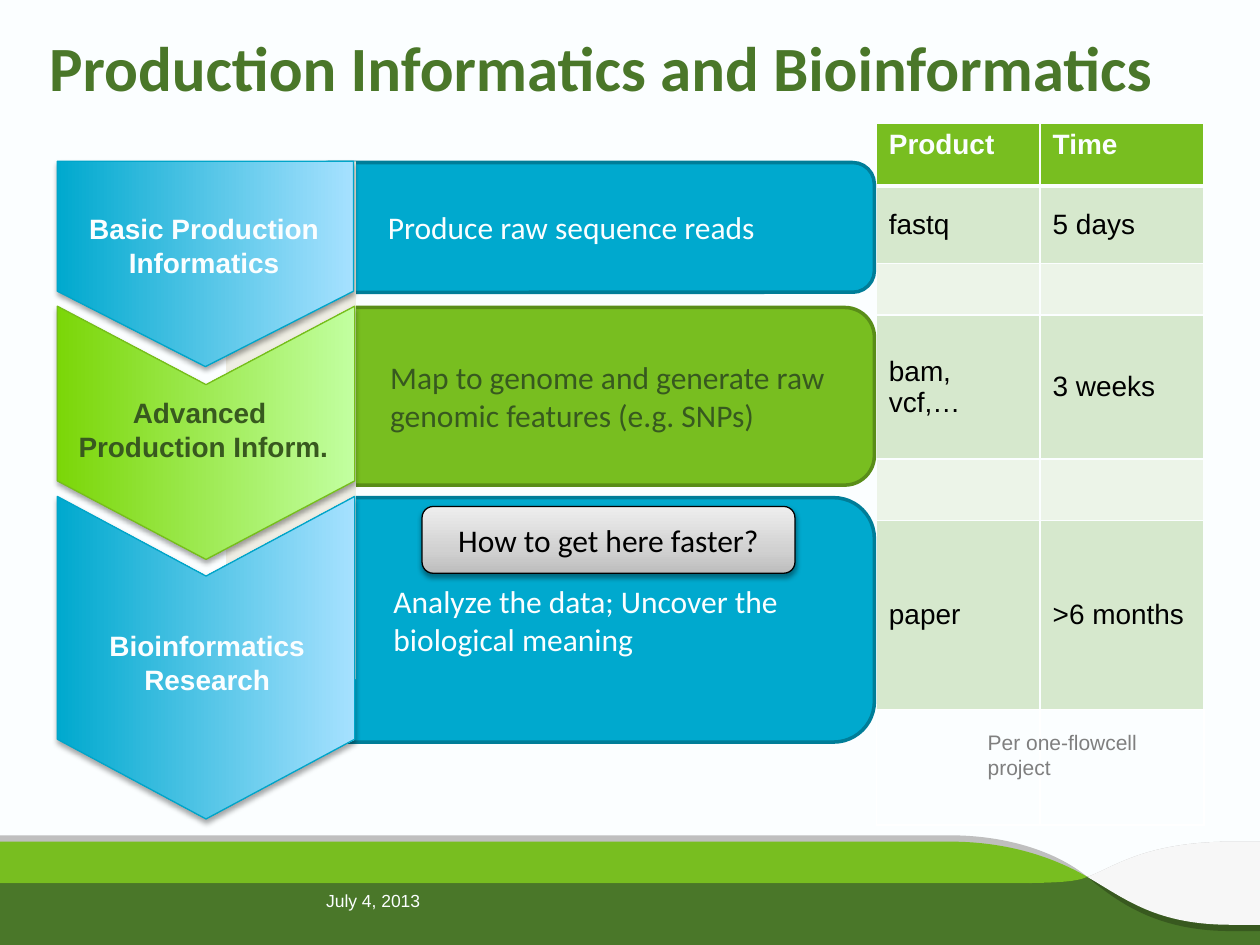
import dataclasses

import lxml.etree
import pptx
import pptx.dml.color
import pptx.enum.shapes
import pptx.enum.text
import pptx.oxml.ns
import pptx.util

COLUMNS, ROWS = 100, 75
UNIT = pptx.util.Inches(10) // COLUMNS
SHAPES = pptx.enum.shapes.MSO_SHAPE
ALIGN = pptx.enum.text.PP_ALIGN
ANCHOR = pptx.enum.text.MSO_ANCHOR

COLORS = {
    "paper": "FBFEFF", "dark_green": "4A7729", "deep_green": "38591F",
    "green": "78BE20", "green_edge": "598D18", "green_text": "37591F",
    "lime": "7BD608", "pale_lime": "C2FFA0", "lime_edge": "76BE1B",
    "blue": "00A9CE", "blue_edge": "007D98", "pale_blue": "A6E1FF",
    "arrow_edge": "00A5C9", "silver": "BFBFBF", "white_wave": "F7F7F7",
    "band": "D6E8CD", "pale_band": "ECF4E8", "backing": "EEEDE3",
    "gray_text": "7F7F7F", "black": "000000",
    "button_low": "BDBDBD", "button_mid": "D1D1D1", "button_high": "EEEEEE",
}


@dataclasses.dataclass
class Box:
    left: float
    top: float
    width: float
    height: float

    def inner(self, left, top, width, height):
        return Box(self.left + left, self.top + top, width, height)

    def turned(self):
        shift = (self.width - self.height) / 2
        return Box(self.left + shift, self.top - shift, self.height, self.width)

    def lengths(self):
        return [round(value * UNIT) for value in dataclasses.astuple(self)]


def color(name):
    return pptx.dml.color.RGBColor.from_string(COLORS[name])


def add_element(parent, tag, **attributes):
    return lxml.etree.SubElement(parent, pptx.oxml.ns.qn(tag), attributes)


def style(paragraph, size, name, ink, bold=False, align=ALIGN.LEFT):
    paragraph.alignment = align
    font = paragraph.font
    font.size, font.name, font.bold = pptx.util.Pt(size), name, bold
    font.color.rgb = color(ink)


def add_shape(slide, box, kind, fill=None, edge=None, edge_width=0.75):
    shape = slide.shapes.add_shape(kind, *box.lengths())
    shape.shadow.inherit = False
    if fill:
        shape.fill.solid()
        shape.fill.fore_color.rgb = color(fill)
    if edge:
        shape.line.color.rgb = color(edge)
        shape.line.width = pptx.util.Pt(edge_width)
    else:
        shape.line.fill.background()
    return shape


def add_gradient(shape, stops):
    shape.fill.gradient()
    shape.fill.gradient_angle = 90
    stop_list = next(shape._element.spPr.iter(pptx.oxml.ns.qn("a:gsLst")))
    for stop in list(stop_list):
        stop_list.remove(stop)
    for position, name in stops:
        stop = add_element(stop_list, "a:gs", pos=str(position * 1000))
        add_element(stop, "a:srgbClr", val=COLORS[name])


def add_shadow(shape, opacity, distance):
    effects = shape._element.spPr.find(pptx.oxml.ns.qn("a:effectLst"))
    shadow = add_element(effects, "a:outerShdw", blurRad=str(pptx.util.Pt(3.1)),
                         dist=str(pptx.util.Pt(distance)), dir="5400000", rotWithShape="0")
    ink = add_element(shadow, "a:srgbClr", val=COLORS["black"])
    add_element(ink, "a:alpha", val=str(opacity * 1000))


def add_text(slide, box, lines, size, name, ink, bold=False, align=ALIGN.LEFT, wrap=True):
    frame = slide.shapes.add_textbox(*box.lengths()).text_frame
    frame.word_wrap = wrap
    frame.text = "\n".join(lines)
    for paragraph in frame.paragraphs:
        style(paragraph, size, name, ink, bold, align)
    return frame


def bend_curves(shape, contours):
    segments = list(shape._element.spPr.iter(pptx.oxml.ns.qn("a:lnTo")))
    entries = [entry for contour in contours for entry in contour[1:]]
    for entry in entries:
        first, *others = segments[:len(entry) // 2]
        segments = segments[len(entry) // 2:]
        if others:
            first.tag = pptx.oxml.ns.qn("a:cubicBezTo")
            for segment in others:
                first.append(segment[0])
                segment.getparent().remove(segment)


def draw_wave(slide, box, contours, fill):
    outlines = [[((box.left + x) * UNIT, (box.top + y) * UNIT)
                 for entry in contour for x, y in zip(entry[::2], entry[1::2])]
                for contour in contours]
    builder = slide.shapes.build_freeform(*outlines[0][0])
    for index, outline in enumerate(outlines):
        if index:
            builder.move_to(*outline[0])
        builder.add_line_segments(outline[1:], close=False)
    shape = builder.convert_to_shape()
    bend_curves(shape, contours)
    shape.shadow.inherit = False
    shape.fill.solid()
    shape.fill.fore_color.rgb = color(fill)
    shape.line.fill.background()


def draw_footer(slide, box):
    crossing = (86.3, 3.3)
    green_tail = [(0, 3.8), (79.5, 3.8), (84, 3.8, 85.4, 3.7, *crossing)]
    right_rise = [(97.8, 0.5), (90.8, 0.5, 88.3, 2.6, *crossing)]
    add_shape(slide, box.inner(0, 3.3, box.width, box.height - 3.3), SHAPES.RECTANGLE, "dark_green")
    waves = [
        ("silver", [right_rise + [(100, 3.3), (100, 7.6), (100, 0.5)],
                    [(75.4, 0), (0, 0), (0, 3.3), crossing, (84, 1.4, 80.1, 0, 75.4, 0)]]),
        ("deep_green", [[crossing, (0, 3.3)] + green_tail,
                        [(100, 3.3), crossing, (88.7, 5.3, 91.8, 7.6, 97.7, 7.6), (100, 7.6), (100, 3.3)]]),
        ("green", [[crossing, (83.7, 1.8, 80.1, 0.5, 75.4, 0.5), (0, 0.5)] + green_tail]),
        ("white_wave", [right_rise + [(89.4, 5.1, 91.8, 7.1, 97.7, 7.1), (100, 7.1), (100, 0.5), (97.8, 0.5)]]),
    ]
    for fill, contours in waves:
        draw_wave(slide, box, contours, fill)
    date = add_text(slide, box.inner(24.9, 3.2, 18.9, 4), ["July 4, 2013"], 10, "Arial", "paper")
    date.vertical_anchor = ANCHOR.MIDDLE


def add_borders(cell, widths):
    properties = cell._tc.get_or_add_tcPr()
    for index, (side, width) in enumerate(zip(("a:lnL", "a:lnR", "a:lnT", "a:lnB"), widths)):
        line = lxml.etree.Element(pptx.oxml.ns.qn(side), w=str(pptx.util.Pt(width)))
        add_element(add_element(line, "a:solidFill"), "a:srgbClr", val=COLORS["paper"])
        properties.insert(index, line)


def draw_products(slide, box):
    rows = [(4.95, "Product", "Time"), (6.15, "fastq", "5 days"), (4.1, "", ""),
            (11.45, "bam, vcf,…", "3 weeks"), (4.85, "", ""), (15, "paper", ">6 months"), (9.2, "", "")]
    table = slide.shapes.add_table(len(rows), 2, *box.lengths()).table
    table.first_row = table.horz_banding = False
    for column in table.columns:
        column.width = round(box.width / 2 * UNIT)
    for index, (height, *texts) in enumerate(rows):
        table.rows[index].height = round(height * UNIT)
        header, last = index == 0, index == len(rows) - 1
        for cell, text in zip(table.rows[index].cells, texts):
            cell.text = text
            style(cell.text_frame.paragraphs[0], 16, "Arial", "paper" if header else "black", header)
            cell.vertical_anchor = ANCHOR.TOP if header else ANCHOR.MIDDLE
            if last:
                cell.fill.background()
            else:
                cell.fill.solid()
                cell.fill.fore_color.rgb = color("green" if header else "band" if index % 2 else "pale_band")
                add_borders(cell, (1, 1, 3 if index == 1 else 1, 3 if header else 1))


def draw_body(slide, box, text, fill, edge, ink):
    shape = add_shape(slide, box, SHAPES.ROUNDED_RECTANGLE, fill, edge, 2)
    frame = shape.text_frame
    frame.vertical_anchor = ANCHOR.MIDDLE
    frame.text = text
    paragraph = frame.paragraphs[0]
    paragraph._p.get_or_add_pPr().set("marL", str(5 * UNIT))
    style(paragraph, 18, "Calibri", ink)


def draw_arrow(slide, box, kind, point, stops, edge):
    shape = add_shape(slide, box.turned(), kind, edge=edge)
    shape.rotation = 90
    shape.adjustments[0] = point
    add_gradient(shape, stops)
    add_shadow(shape, 35, 1.8)


def draw_flow(slide, box):
    blue = ("blue", "blue_edge", "paper")
    blue_arrow = ([(0, "blue"), (100, "pale_blue")], "arrow_edge")
    lime_arrow = ([(0, "lime"), (100, "pale_lime")], "lime_edge")
    stages = [
        (0.1, 10.3, "Produce raw sequence reads", blue,
         (23.5, 16.3), (SHAPES.PENTAGON, 0.367, *blue_arrow),
         ["Basic Production", "Informatics"], (1.5, 3.4, 20.3, 6.4), "paper"),
        (11.6, 14.1, "Map to genome and generate raw genomic features (e.g. SNPs)",
         ("green", "green_edge", "green_text"),
         (23.6, 20.1), (SHAPES.CHEVRON, 0.31, *lime_arrow),
         ["Advanced ", "Production Inform."], (0.6, 6.5, 22, 6.4), "deep_green"),
        (26.7, 19.4, "Analyze the data; Uncover the biological meaning", blue,
         (23.6, 25.6), (SHAPES.CHEVRON, 0.268, *blue_arrow),
         ["Bioinformatics", "Research"], (3.1, 9.9, 17.6, 6.4), "paper"),
    ]
    for index in (1, 2, 0):
        top, height, text, look, *_ = stages[index]
        draw_body(slide, box.inner(19.75, top, 45.1, height), text, *look)
    backing = add_shape(slide, box.inner(13.4, 0, 10.3, 41.1).turned(), SHAPES.ROUNDED_RECTANGLE, "backing")
    backing.adjustments[0] = 0
    backing.rotation = 90
    for top, _, _, _, size, look, label, (left, drop, *label_size), ink in stages:
        draw_arrow(slide, box.inner(0, top - top % 0.1 if top > 1 else 0, *size), *look)
        add_text(slide, box.inner(left, top + drop, *label_size), label,
                 16, "Arial", ink, True, ALIGN.CENTER, False)


def draw_button(slide, box):
    shape = add_shape(slide, box, SHAPES.ROUNDED_RECTANGLE, edge="black")
    add_gradient(shape, [(0, "button_low"), (35, "button_mid"), (100, "button_high")])
    add_shadow(shape, 38, 1.6)
    shape.text_frame.text = "How to get here faster?"
    shape.text_frame.vertical_anchor = ANCHOR.MIDDLE
    style(shape.text_frame.paragraphs[0], 18, "Calibri", "black", align=ALIGN.CENTER)


def draw_title(slide, box):
    frame = add_text(slide, box, ["Production Informatics and Bioinformatics"],
                     36, "Calibri", "dark_green", True)
    frame.margin_left = frame.margin_top = frame.margin_right = frame.margin_bottom = 0
    frame.paragraphs[0].line_spacing = 0.9


def main():
    presentation = pptx.Presentation()
    presentation.slide_width, presentation.slide_height = COLUMNS * UNIT, ROWS * UNIT
    slide = presentation.slides.add_slide(presentation.slide_layouts[6])
    slide.background.fill.solid()
    slide.background.fill.fore_color.rgb = color("paper")
    draw_footer(slide, Box(0, 66.3, COLUMNS, 8.7))
    draw_products(slide, Box(69.55, 9.8, 26, 55.7))
    add_text(slide, Box(77.4, 57.4, 18.2, 3), ["Per one-flowcell project"], 12, "Arial", "gray_text")
    draw_title(slide, Box(3.9, 2.95, 92.5, 9.4))
    draw_flow(slide, Box(4.55, 12.8, 64.8, 52.3))
    draw_button(slide, Box(33.5, 40.2, 29.6, 5.3))
    presentation.save("out.pptx")


if __name__ == "__main__":
    main()
